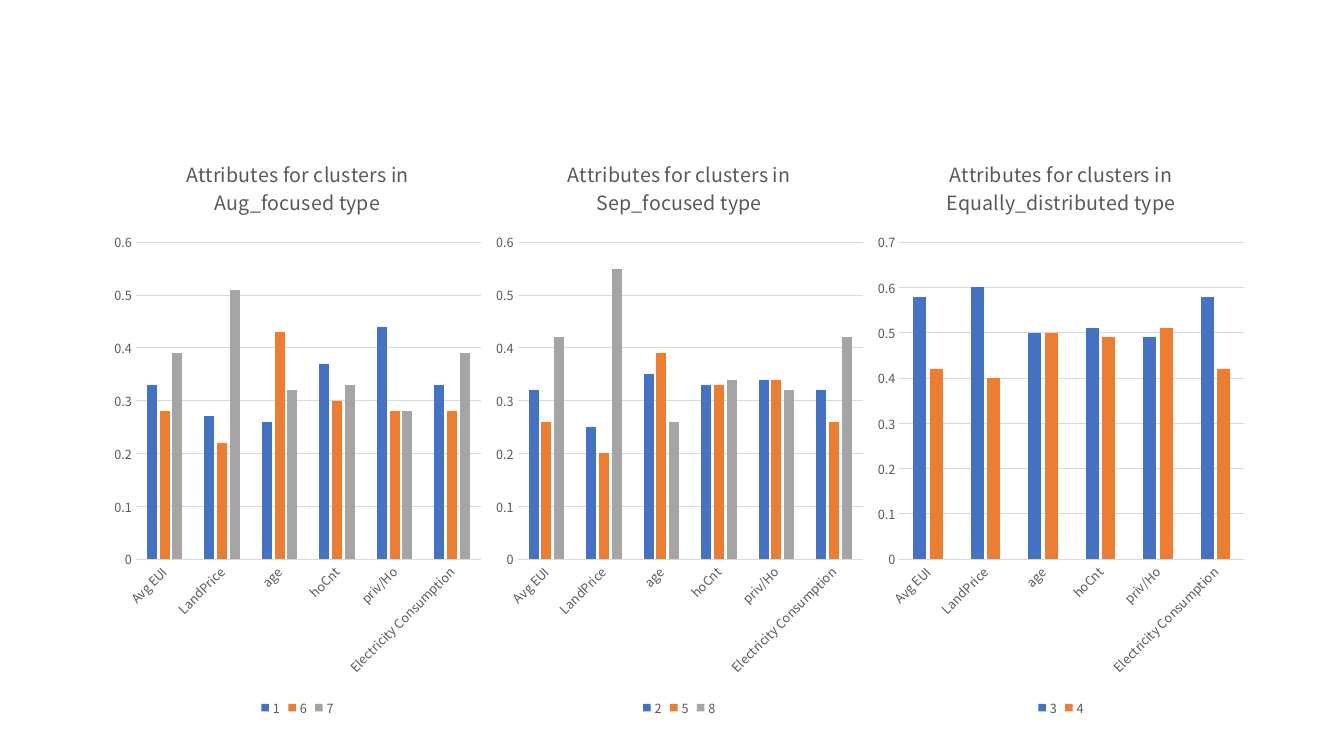
from pptx import Presentation
from pptx.chart.data import CategoryChartData
from pptx.dml.color import RGBColor
from pptx.enum.chart import XL_CHART_TYPE, XL_LEGEND_POSITION, XL_TICK_MARK
from pptx.util import Cm, Pt

COLUMNS = XL_CHART_TYPE.COLUMN_CLUSTERED
BOTTOM = XL_LEGEND_POSITION.BOTTOM
NO_TICK = XL_TICK_MARK.NONE

CATEGORIES = ["Avg EUI", "LandPrice", "age", "hoCnt", "priv/Ho", "Electricity Consumption"]

# Month type, axis maximum, and cluster values in category order
CLUSTER_TYPES = [
    ("Aug_focused", 0.6, {
        "1": (0.33, 0.27, 0.26, 0.37, 0.44, 0.33),
        "6": (0.28, 0.22, 0.43, 0.3, 0.28, 0.28),
        "7": (0.39, 0.51, 0.32, 0.33, 0.28, 0.39)}),
    ("Sep_focused", 0.6, {
        "2": (0.32, 0.25, 0.35, 0.33, 0.34, 0.32),
        "5": (0.26, 0.2, 0.39, 0.33, 0.34, 0.26),
        "8": (0.42, 0.55, 0.26, 0.34, 0.32, 0.42)}),
    ("Equally_distributed", 0.7, {
        "3": (0.58, 0.6, 0.5, 0.51, 0.49, 0.58),
        "4": (0.42, 0.4, 0.5, 0.49, 0.51, 0.42)}),
]


def color(hex_text):
    return RGBColor.from_string(hex_text)


class ChartPage:
    """Holds the chart style and the current slide."""
    font_name = "Noto Sans CJK KR"
    text_color = "595959"
    line_color = "D9D9D9"
    series_colors = ("4472C4", "ED7D31", "A5A5A5")

    def __init__(self, deck):
        self.page = deck.slides.add_slide(deck.slide_layouts[6])

    def style_font(self, font, size):
        font.name = self.font_name
        font.size = Pt(size)
        font.bold = False
        font.color.rgb = color(self.text_color)

    def style_line(self, line):
        line.color.rgb = color(self.line_color)
        line.width = Pt(0.75)

    def style_axes(self, chart, maximum):
        for axis in (chart.category_axis, chart.value_axis):
            axis.major_tick_mark = axis.minor_tick_mark = NO_TICK
            self.style_font(axis.tick_labels.font, 9)
        self.style_line(chart.category_axis.format.line)
        # Slanted category names
        labels = chart.category_axis._element.txPr
        labels.bodyPr.set("rot", "-2700000")
        labels.bodyPr.set("vert", "horz")

        values = chart.value_axis
        values.minimum_scale, values.maximum_scale, values.major_unit = 0, maximum, 0.1
        values.tick_labels.number_format = "General"
        values.tick_labels.number_format_is_linked = False
        values.format.line.fill.background()
        self.style_line(values.major_gridlines.format.line)

    def add_columns(self, title, maximum, clusters, left, top, width, height):
        data = CategoryChartData()
        data.categories = CATEGORIES
        for name, values in clusters.items():
            data.add_series(name, values)
        chart = self.page.shapes.add_chart(COLUMNS, left, top, width, height, data).chart
        chart.font.name = self.font_name
        chart.font.size = Pt(10)

        # Title and legend
        chart.has_title = True
        frame = chart.chart_title.text_frame
        frame.text = title
        self.style_font(frame.paragraphs[0].runs[0].font, 14)
        chart.chart_title.include_in_layout = False
        chart.has_legend = True
        chart.legend.position = BOTTOM
        chart.legend.include_in_layout = False
        self.style_font(chart.legend.font, 9)

        # Columns
        self.style_axes(chart, maximum)
        plot = chart.plots[0]
        plot.gap_width, plot.overlap, plot.vary_by_categories = 219, -27, False
        for series, fill in zip(plot.series, self.series_colors):
            series.format.fill.solid()
            series.format.fill.fore_color.rgb = color(fill)


def main():
    deck = Presentation()
    deck.slide_width, deck.slide_height = Cm(33.87), Cm(19.05)
    slide = ChartPage(deck)

    # Three adjoining charts, one per type
    width = 9.62
    for index, (kind, maximum, clusters) in enumerate(CLUSTER_TYPES):
        slide.add_columns(f"Attributes for clusters in {kind} type", maximum, clusters,
                          Cm(2.69 + index * width), Cm(3.43), Cm(width), Cm(14.73))
    deck.save("out.pptx")


if __name__ == "__main__":
    main()
